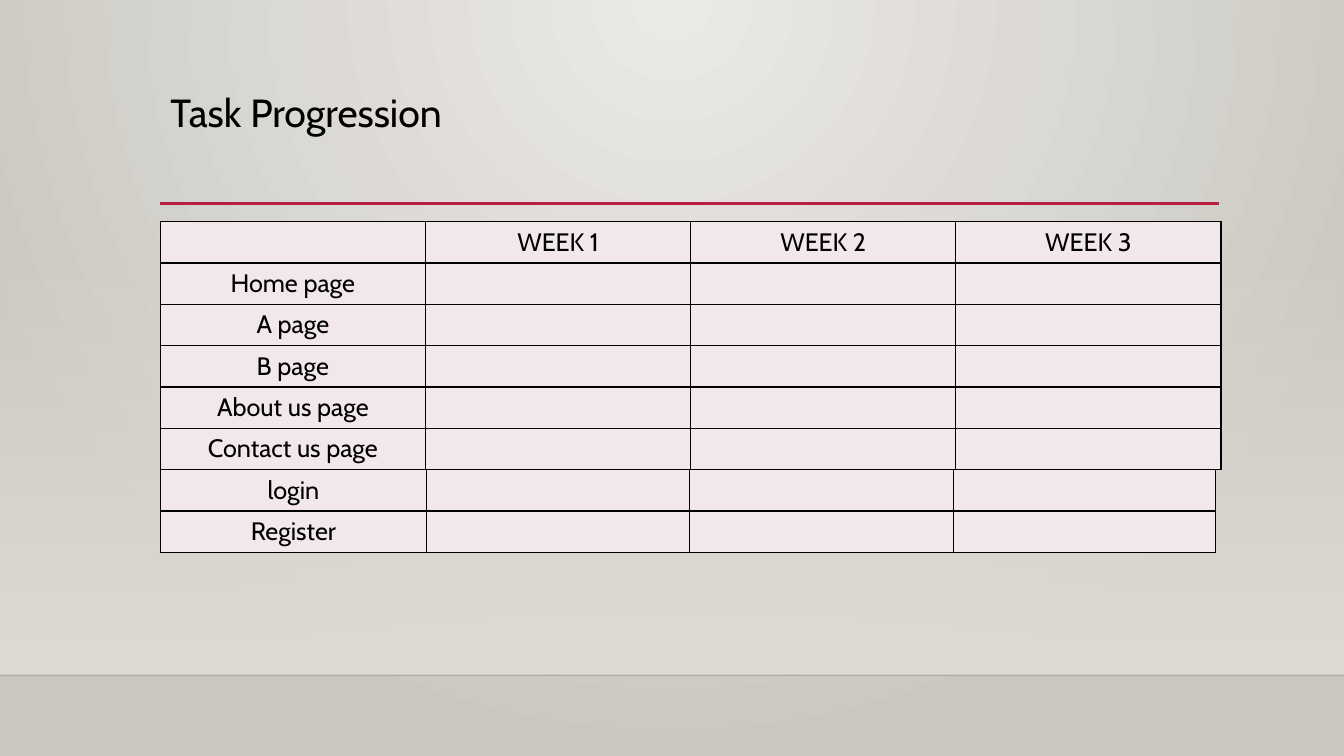
from lxml.etree import SubElement
from pptx import Presentation
from pptx.dml.color import RGBColor
from pptx.enum.shapes import MSO_CONNECTOR, MSO_SHAPE
from pptx.enum.text import MSO_ANCHOR, MSO_AUTO_SIZE, PP_ALIGN
from pptx.oxml.ns import qn
from pptx.util import Inches, Pt

WIDTH, HEIGHT = 13.33, 7.5
FONT = "Cabin"
INK, ACCENT, CELL = "000000", "B71E42", "F3E8E9"
ROW = 0.41
LEFT = 1.59
FLOOR = 6.7
WEEKS = ["", "WEEK 1", "WEEK 2", "WEEK 3"]
PAGES = ["Home page", "A page", "B page", "About us page", "Contact us page"]
ACCOUNT_PAGES = ["login", "Register"]


def color(value):
    return RGBColor.from_string(value)


def apply(target, formats):
    for name, value in formats.items():
        setattr(target, name, value)


def style_text(paragraph, size, alignment):
    paragraph.alignment = alignment
    apply(paragraph.font, {"name": FONT, "size": Pt(size)})
    paragraph.font.color.rgb = color(INK)


def paint_gradient(fill, stops):
    fill.gradient()
    for stop, value in zip(fill.gradient_stops, stops):
        stop.color.rgb = color(value)


def set_alpha(stroke, percent):
    for tint in stroke.iter(qn("a:srgbClr")):
        SubElement(tint, qn("a:alpha"), val=str(percent * 1000))


def add_rule(slide, left, top, width, tint, weight):
    rule = slide.shapes.add_connector(
        MSO_CONNECTOR.STRAIGHT,
        *map(Inches, (left, top, left + width, top)))
    rule.line.color.rgb = color(tint)
    rule.line.width = Pt(weight)
    properties = rule.element.spPr
    SubElement(properties, qn("a:effectLst"))
    return properties


def add_backdrop(slide):
    paint_gradient(slide.background.fill, ["ECEAE7", "CAC7C1"])
    glow = next(slide.element.iter(qn("a:gradFill")))
    glow.remove(glow.find(qn("a:lin")))
    circle = SubElement(glow, qn("a:path"), path="circle")
    SubElement(circle, qn("a:fillToRect"), l="43000", t="0", r="43000", b="100000")

    wall_top = 2.21
    wall = slide.shapes.add_shape(
        MSO_SHAPE.RECTANGLE,
        *map(Inches, (0, wall_top, WIDTH, FLOOR - wall_top)))
    wall.shadow.inherit = False
    wall.line.fill.background()
    paint_gradient(wall.fill, ["DFDBD5", "DFDBD5"])
    wall.fill.gradient_angle = 270
    set_alpha(next(wall.element.iter(qn("a:gs"))), 0)

    set_alpha(add_rule(slide, 0, FLOOR, WIDTH, "000001", 1), 20)


def add_heading(slide, left, top, width, height):
    add_rule(slide, left, top + height, width, ACCENT, 2.5)
    heading = slide.shapes.title
    heading.element.getparent().append(heading.element)
    apply(heading, {"left": Inches(left), "top": Inches(top),
                    "width": Inches(width), "height": Inches(height)})
    frame = heading.text_frame
    frame.text = "Task Progression"
    apply(frame, {"vertical_anchor": MSO_ANCHOR.TOP, "word_wrap": True,
                  "auto_size": MSO_AUTO_SIZE.NONE})
    style_text(frame.paragraphs[0], 28, PP_ALIGN.LEFT)
    frame.paragraphs[0].line_spacing = 0.9


def outline_cell(cell):
    properties = cell._tc.get_or_add_tcPr()
    for position, side in enumerate(("lnL", "lnR", "lnT", "lnB")):
        edge = properties.makeelement(qn(f"a:{side}"), {"w": str(Pt(1))})
        properties.insert(position, edge)
        SubElement(SubElement(edge, qn("a:solidFill")), qn("a:srgbClr"), val=INK)


def add_schedule(slide, left, top, columns, rows):
    schedule = slide.shapes.add_table(
        len(rows), len(columns),
        *map(Inches, (left, top, sum(columns), ROW * len(rows)))).table
    apply(schedule, {"first_row": False, "horz_banding": False})
    for column, width in zip(schedule.columns, columns):
        column.width = Inches(width)
    for row, labels in enumerate(rows):
        schedule.rows[row].height = Inches(ROW)
        for column, label in enumerate(labels):
            cell = schedule.cell(row, column)
            cell.text = label
            style_text(cell.text_frame.paragraphs[0], 18, PP_ALIGN.CENTER)
            cell.fill.solid()
            cell.fill.fore_color.rgb = color(CELL)
            outline_cell(cell)


def page_rows(pages):
    return [[page] + [""] * (len(WEEKS) - 1) for page in pages]


def main():
    deck = Presentation()
    apply(deck, {"slide_width": Inches(WIDTH), "slide_height": Inches(HEIGHT)})
    slide = deck.slides.add_slide(deck.slide_layouts.get_by_name("Title Only"))
    add_backdrop(slide)
    add_heading(slide, LEFT, 0.88, 10.5, 1.14)
    add_schedule(slide, LEFT, 2.2, [2.63] * len(WEEKS), [WEEKS] + page_rows(PAGES))
    add_schedule(slide, LEFT, 4.66, [2.64, 2.61, 2.62, 2.6], page_rows(ACCOUNT_PAGES))
    deck.save("out.pptx")


if __name__ == "__main__":
    main()
